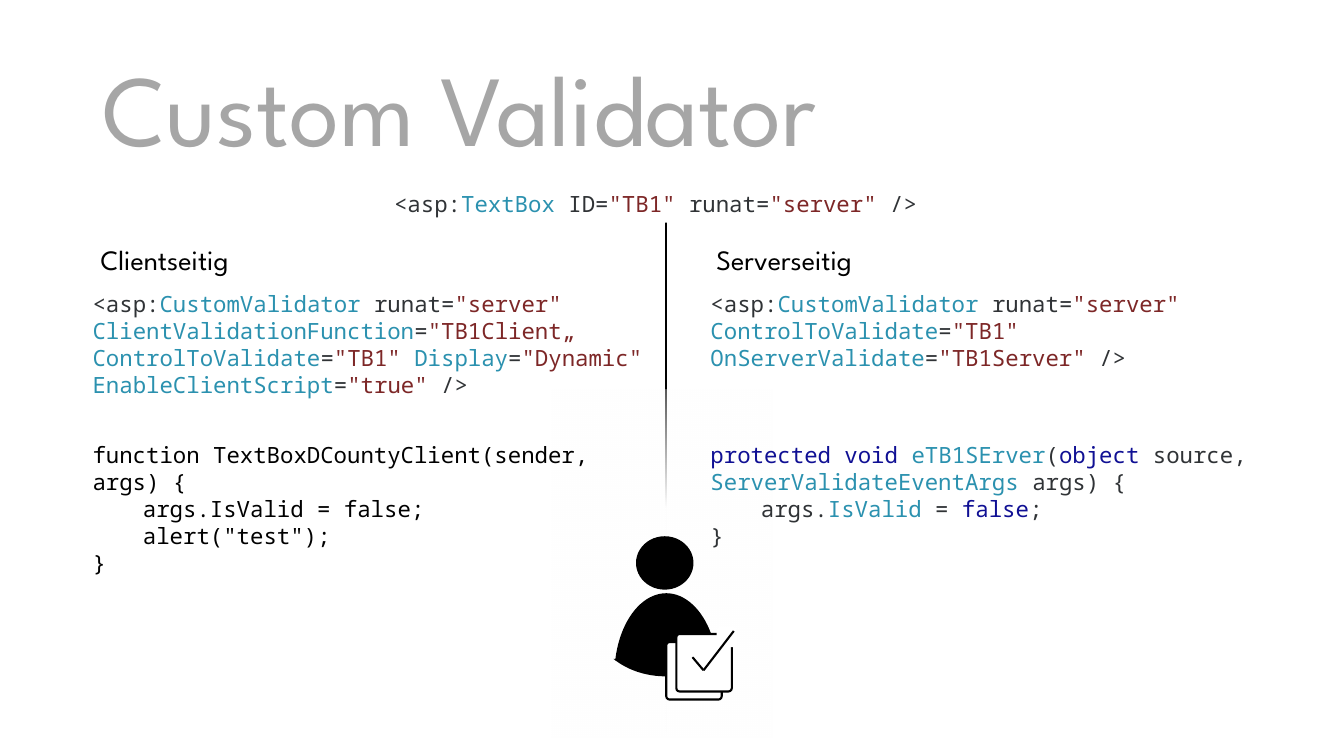
"""Build the slide that explains client-side and server-side custom validators."""
import dataclasses
import typing

import lxml.etree
import pptx
import pptx.dml.color
import pptx.enum.shapes
import pptx.enum.text
import pptx.oxml.ns
import pptx.util

COLUMNS, ROWS = 40, 22.5
SLIDE_WIDTH, SLIDE_HEIGHT = pptx.util.Inches(13.333), pptx.util.Inches(7.5)
HEADING_FONT, CODE_FONT = "League Spartan", "Noto Sans Mono"
BLACK, WHITE, GREY = "000000", "FFFFFF", "A6A6A6"
PLAIN, NAME, VALUE, KEYWORD = "303336", "2B91AF", "7D2727", "101094"
KIND = pptx.enum.shapes.MSO_SHAPE
ALIGN = pptx.enum.text.PP_ALIGN
ANCHOR = pptx.enum.text.MSO_ANCHOR
AUTO_SIZE = pptx.enum.text.MSO_AUTO_SIZE
Line = list[tuple[str, str]]


class Frame(typing.NamedTuple):
    """Left, top, width and height in grid columns and rows."""
    left: float
    top: float
    width: float
    height: float


@dataclasses.dataclass
class TextBlock:
    """Coloured lines of text in one box."""
    frame: Frame
    lines: list[Line]
    font: str = CODE_FONT
    size: int = 16
    align: ALIGN = ALIGN.LEFT
    fill: str | None = None


@dataclasses.dataclass
class Figure:
    """A preset shape with its colours and rotation."""
    kind: KIND
    frame: Frame
    fill: str = BLACK
    line: str | None = None
    rotation: int = 0
    adjustments: tuple[float, ...] = ()


VALIDATOR_START: Line = [("<asp:", PLAIN), ("CustomValidator ", NAME), ("runat=", PLAIN), ('"server" ', VALUE)]
HEADINGS = [
    TextBlock(Frame(2.7, 7.08, 16.95, 1.32), [[("Clientseitig", BLACK)]], HEADING_FONT, 20),
    TextBlock(Frame(21.03, 7.08, 16.17, 1.32), [[("Serverseitig", BLACK)]], HEADING_FONT, 20),
]
VALIDATORS = [
    TextBlock(Frame(2.46, 8.49, 17.22, 3.54), [
        VALIDATOR_START + [("ClientValidationFunction", NAME), ("=", PLAIN), ('"TB1Client„', VALUE)],
        [("ControlToValidate", NAME), ("=", PLAIN), ('"TB1" ', VALUE),
         ("Display", NAME), ("=", PLAIN), ('"Dynamic"', VALUE)],
        [("EnableClientScript", NAME), ("=", PLAIN), ('"true"', VALUE), (" />", PLAIN)],
    ]),
    TextBlock(Frame(20.85, 8.49, 18.84, 2.73), [
        VALIDATOR_START + [("ControlToValidate", NAME), ("=", PLAIN), ('"TB1" ', VALUE),
                           ("OnServerValidate", NAME), ("=", PLAIN), ('"TB1Server" ', VALUE), ("/>", PLAIN)],
    ]),
]
FUNCTIONS = [
    TextBlock(Frame(20.85, 12.99, 18.84, 4.35), [
        [("protected void ", KEYWORD), ("eTB1SErver", NAME), ("(", PLAIN), ("object ", KEYWORD),
         ("source, ", PLAIN), ("ServerValidateEventArgs ", NAME), ("args) {", PLAIN)],
        [("\targs.", PLAIN), ("IsValid", NAME), (" = ", PLAIN), ("false", KEYWORD), (";", PLAIN)],
        [("}", PLAIN)],
    ]),
    TextBlock(Frame(2.46, 5.52, 34.5, 1.11), [
        [("<asp:", PLAIN), ("TextBox", NAME), (" ID=", PLAIN), ('"TB1" ', VALUE),
         ("runat=", PLAIN), ('"server"', VALUE), (" /> ", PLAIN)],
    ], align=ALIGN.CENTER, fill=WHITE),
    TextBlock(Frame(2.46, 12.99, 16.8, 4.35), [
        [(text, BLACK)] for text in (
            "function TextBoxDCountyClient(sender, args) {", "\targs.IsValid = false;", '\talert("test");', "}")
    ]),
]
VEIL = Figure(KIND.RECTANGLE, Frame(16.41, 11.61, 6.57, 10.35), WHITE)
PERSON_WITH_FORM = [
    Figure(KIND.RECTANGLE, Frame(19.71, 19.23, 0.81, 0.15), rotation=270),
    Figure(KIND.OVAL, Frame(18.93, 15.96, 1.71, 1.59)),
    Figure(KIND.CHORD, Frame(17.4, 18.54, 4.86, 3.09), rotation=90, adjustments=(63.51, 153.12)),
    Figure(KIND.CHORD, Frame(18.03, 16.14, 3.57, 4.41), rotation=270, adjustments=(78.61, 138.52)),
    *(Figure(KIND.ROUNDED_RECTANGLE, Frame(left, top, 1.65, 1.71), WHITE, BLACK, adjustments=(0.06,))
      for left, top in ((19.83, 19.11), (20.13, 18.87))),
    Figure(KIND.ROUNDED_RECTANGLE, Frame(21.33, 18.66, 0.6, 0.6), WHITE),
]
DIVIDER = [(19.83, 5.55), (19.83, 21.78)]
CHECK_MARK = [(20.61, 19.56), (20.94, 19.95), (21.84, 18.78)]


def across(columns: float) -> int:
    """Turn grid columns into a length."""
    return round(SLIDE_WIDTH * columns / COLUMNS)


def down(rows: float) -> int:
    """Turn grid rows into a length."""
    return round(SLIDE_HEIGHT * rows / ROWS)


def place(frame: Frame) -> tuple[int, int, int, int]:
    """Turn a grid frame into slide lengths."""
    return across(frame.left), down(frame.top), across(frame.width), down(frame.height)


def color(value: str) -> pptx.dml.color.RGBColor:
    """Turn a hex string into a colour."""
    return pptx.dml.color.RGBColor.from_string(value)


def apply(target: typing.Any, formats: dict[str, typing.Any]) -> None:
    """Set every named format value on the target."""
    for name, value in formats.items():
        setattr(target, name, value)


def paint(shape: typing.Any, fill: str) -> None:
    """Fill a shape with one colour."""
    shape.fill.solid()
    shape.fill.fore_color.rgb = color(fill)


def write(shape: typing.Any, block: TextBlock, frame_formats: dict[str, typing.Any],
          paragraph_formats: dict[str, typing.Any]) -> None:
    """Write the coloured lines of a block into a shape."""
    apply(shape.text_frame, {"word_wrap": True} | frame_formats)
    for index, line in enumerate(block.lines):
        paragraph = shape.text_frame.add_paragraph() if index else shape.text_frame.paragraphs[0]
        apply(paragraph, {"alignment": block.align} | paragraph_formats)
        for text, text_color in line:
            run = paragraph.add_run()
            run.text = text
            apply(run.font, {"name": block.font, "size": pptx.util.Pt(block.size)})
            run.font.color.rgb = color(text_color)


def add_title(slide: typing.Any) -> None:
    """Move and fill the title placeholder."""
    block = TextBlock(Frame(2.75, 1.2, 34.5, 4.35), [[("Custom Validator", GREY)]], HEADING_FONT, 72)
    title = slide.shapes.title
    apply(title, dict(zip(("left", "top", "width", "height"), place(block.frame))))
    write(title, block, {"vertical_anchor": ANCHOR.MIDDLE, "auto_size": AUTO_SIZE.NONE}, {"line_spacing": 0.9})


def add_text(slide: typing.Any, block: TextBlock) -> None:
    """Add a text box for a block."""
    box = slide.shapes.add_textbox(*place(block.frame))
    if block.fill:
        paint(box, block.fill)
    write(box, block, {"auto_size": AUTO_SIZE.SHAPE_TO_FIT_TEXT}, {})


def add_figure(slide: typing.Any, figure: Figure) -> typing.Any:
    """Add a preset shape."""
    shape = slide.shapes.add_shape(figure.kind, *place(figure.frame))
    shape.rotation = figure.rotation
    shape.shadow.inherit = False
    for index, value in enumerate(figure.adjustments):
        shape.adjustments[index] = value
    paint(shape, figure.fill)
    if figure.line:
        shape.line.color.rgb = color(figure.line)
        shape.line.width = pptx.util.Pt(1.5)
    else:
        shape.line.fill.background()
    return shape


def add_veil(slide: typing.Any) -> None:
    """Add a white rectangle that turns from clear to opaque."""
    properties = add_figure(slide, VEIL).fill._xPr
    qualified = pptx.oxml.ns.qn
    solid = properties.find(qualified("a:solidFill"))
    gradient = lxml.etree.Element(qualified("a:gradFill"), rotWithShape="1")
    stops = lxml.etree.SubElement(gradient, qualified("a:gsLst"))
    for position, opacity in ((0, 0), (38, 100), (100, 100)):
        stop = lxml.etree.SubElement(stops, qualified("a:gs"), pos=str(position * 1000))
        stop_color = lxml.etree.SubElement(stop, qualified("a:srgbClr"), val=WHITE)
        lxml.etree.SubElement(stop_color, qualified("a:alpha"), val=str(opacity * 1000))
    lxml.etree.SubElement(gradient, qualified("a:lin"), ang=str(120 * 60000), scaled="0")
    properties.replace(solid, gradient)


def add_lines(slide: typing.Any, points: list[tuple[float, float]]) -> None:
    """Join grid points with straight black lines."""
    for start, end in zip(points, points[1:]):
        connector = slide.shapes.add_connector(
            pptx.enum.shapes.MSO_CONNECTOR.STRAIGHT,
            across(start[0]), down(start[1]), across(end[0]), down(end[1]))
        connector.line.color.rgb = color(BLACK)
        connector.line.width = pptx.util.Pt(1.5)
        lxml.etree.SubElement(connector._element.spPr, pptx.oxml.ns.qn("a:effectLst"))


def main() -> None:
    """Build and save the presentation."""
    presentation = pptx.Presentation()
    apply(presentation, {"slide_width": SLIDE_WIDTH, "slide_height": SLIDE_HEIGHT})
    slide = presentation.slides.add_slide(presentation.slide_layouts[5])
    add_title(slide)
    for block in HEADINGS + VALIDATORS:
        add_text(slide, block)
    add_lines(slide, DIVIDER)
    add_veil(slide)
    for figure in PERSON_WITH_FORM:
        add_figure(slide, figure)
    add_lines(slide, CHECK_MARK)
    for block in FUNCTIONS:
        add_text(slide, block)
    presentation.save("out.pptx")


if __name__ == "__main__":
    main()
